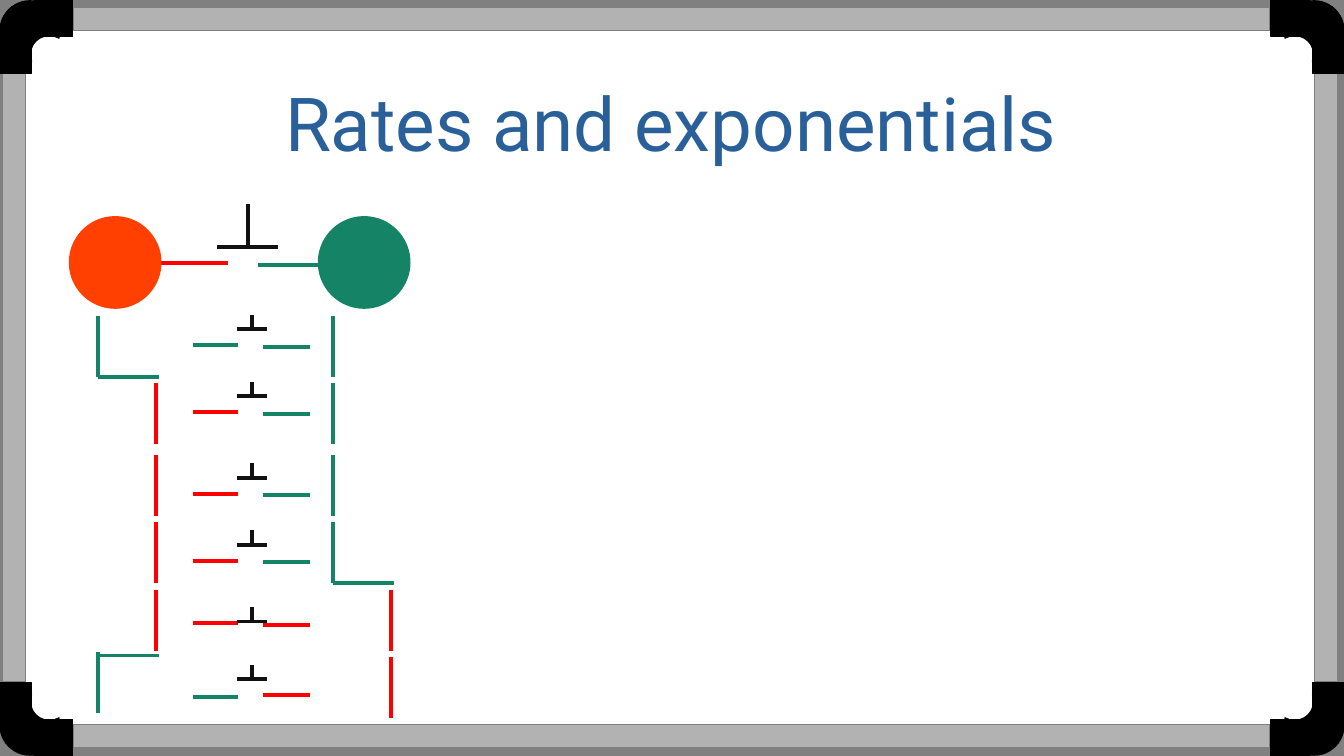
from itertools import product
from lxml.etree import SubElement
from pptx import Presentation
from pptx.dml.color import RGBColor as Color
from pptx.enum.shapes import MSO_CONNECTOR as Link, MSO_SHAPE as Shape
from pptx.enum.text import MSO_ANCHOR as Anchor, PP_ALIGN as Align
from pptx.oxml.ns import qn
from pptx.util import Pt

THEME = {
    "white": Color.from_string("FFFFFF"),
    "black": Color.from_string("000000"),
    "edge": Color.from_string("808080"),
    "frame": Color.from_string("B2B2B2"),
    "title": Color.from_string("2A6099"),
    "green": Color.from_string("158466"),
    "red": Color.from_string("FF0000"),
    "orange": Color.from_string("FF4000"),
    "ink": Color.from_string("111111"),
    "font": "Roboto",
    "title_size": Pt(44),
    "stroke": Pt(2.3),
}
WIDTH, HEIGHT = 793.5, 446.5

deck = Presentation()
deck.slide_width, deck.slide_height = Pt(WIDTH), Pt(HEIGHT)
page = deck.slides.add_slide(deck.slide_layouts[6])


def draw_shape(kind, left, top, width, height, fill, edge=None):
    shape = page.shapes.add_shape(kind, Pt(left), Pt(top), Pt(width), Pt(height))
    shape.shadow.inherit = False
    shape.fill.solid()
    shape.fill.fore_color.rgb = THEME[fill]
    shape.line.color.rgb = THEME[edge or fill]
    shape.line.width = Pt(0)
    return shape


def draw_line(x1, y1, x2, y2, color):
    line = page.shapes.add_connector(Link.STRAIGHT, Pt(x1), Pt(y1), Pt(x2), Pt(y2))
    line.line.color.rgb = THEME[color]
    line.line.width = THEME["stroke"]
    SubElement(line._element.spPr, qn("a:effectLst"))


for right, bottom in product((False, True), repeat=2):
    draw_shape(Shape.RECTANGLE, WIDTH - 20 if right else 0,
               HEIGHT - 21.5 if bottom else 0, 20, 21.5, "edge")

frame_bars = [
    (776.2, 43.2, 13.7, 359.3, 0),
    (43.5, 427.7, 706.3, 13.7, 90),
    (43.5, 4.5, 706.3, 13.7, 270),
    (1.5, 43.2, 13.7, 359.3, 180),
]
for left, top, width, height, direction in frame_bars:
    bar = draw_shape(Shape.RECTANGLE, left, top, width, height, "frame", "edge")
    effects = bar._element.spPr.find(qn("a:effectLst"))
    shadow = SubElement(effects, qn("a:outerShdw"), dist=str(Pt(5.8)),
                        dir=str(direction * 60000), rotWithShape="0")
    SubElement(shadow, qn("a:srgbClr"), val=str(THEME["edge"]))

corner_parts = [
    (Shape.OVAL, 0, 0.5, 35.3, 35.3, "black"),
    (Shape.OVAL, 18.7, 21.8, 20.9, 20.9, "white"),
    (Shape.RECTANGLE, 0, 22.5, 18.5, 21, "black"),
    (Shape.RECTANGLE, 20.5, 0, 22.5, 21.7, "black"),
]
for right, bottom in product((False, True), repeat=2):
    for kind, left, top, width, height, fill in corner_parts:
        draw_shape(kind, WIDTH - left - width if right else left,
                   HEIGHT - top - height if bottom else top, width, height, fill)

box = page.shapes.add_textbox(Pt(39.6), Pt(43.2), Pt(713.5), Pt(57.6))
frame_format = {"word_wrap": True, "vertical_anchor": Anchor.MIDDLE, "margin_left": 0,
                "margin_right": 0, "margin_top": 0, "margin_bottom": 0}
for name, value in frame_format.items():
    setattr(box.text_frame, name, value)
para = box.text_frame.paragraphs[0]
para.alignment = Align.CENTER
span = para.add_run()
span.text = "Rates and exponentials"
for name, value in {"name": THEME["font"], "size": THEME["title_size"]}.items():
    setattr(span.font, name, value)
span.font.color.rgb = THEME["title"]

draw_shape(Shape.OVAL, 188, 128, 54, 54, "green")
draw_line(80.6, 155.5, 134.6, 155.5, "red")
draw_shape(Shape.OVAL, 41, 128, 54, 54, "orange")
draw_line(188.6, 156.4, 152.6, 156.4, "green")
draw_line(128.2, 145.9, 164.2, 145.9, "ink")
draw_line(146.2, 120.5, 146.2, 145.9, "ink")

left_trace_x = {"green": 57.6, "red": 92}
right_trace_x = {"green": 196.6, "red": 230.8}
steps = [
    ("green", "green", 186.5, 186.5, 185.8, 18, 19),
    ("red", "green", 226.2, 226.2, 225.4, 18, 19),
    ("red", "green", 268.8, 268.8, 273.6, 18, 19),
    ("red", "green", 308.6, 308.6, 313.2, 18, 19),
    ("red", "red", 348.4, 348.4, 358.6, 9.5, 10.5),
    ("green", "red", 385.2, 388.1, 392.8, 19, 17.5),
]
for left, right, left_top, right_top, gate, left_drop, right_drop in steps:
    draw_line(left_trace_x[left], left_top, left_trace_x[left], left_top + 36, left)
    draw_line(right_trace_x[right], right_top, right_trace_x[right], right_top + 36, right)
    draw_line(113.8, gate + left_drop, 140.4, gate + left_drop, left)
    draw_line(182.9, gate + right_drop, 155.5, gate + right_drop, right)
    draw_line(139.7, gate + 8.5, 157.7, gate + 8.5, "ink")
    draw_line(148.7, gate, 148.7, gate + 8.5, "ink")

for ledge_x, ledge_y in [(57.6, 222.6), (57.6, 387.2), (196.6, 344.6)]:
    draw_line(ledge_x + 36, ledge_y, ledge_x, ledge_y, "green")

deck.save("out.pptx")
